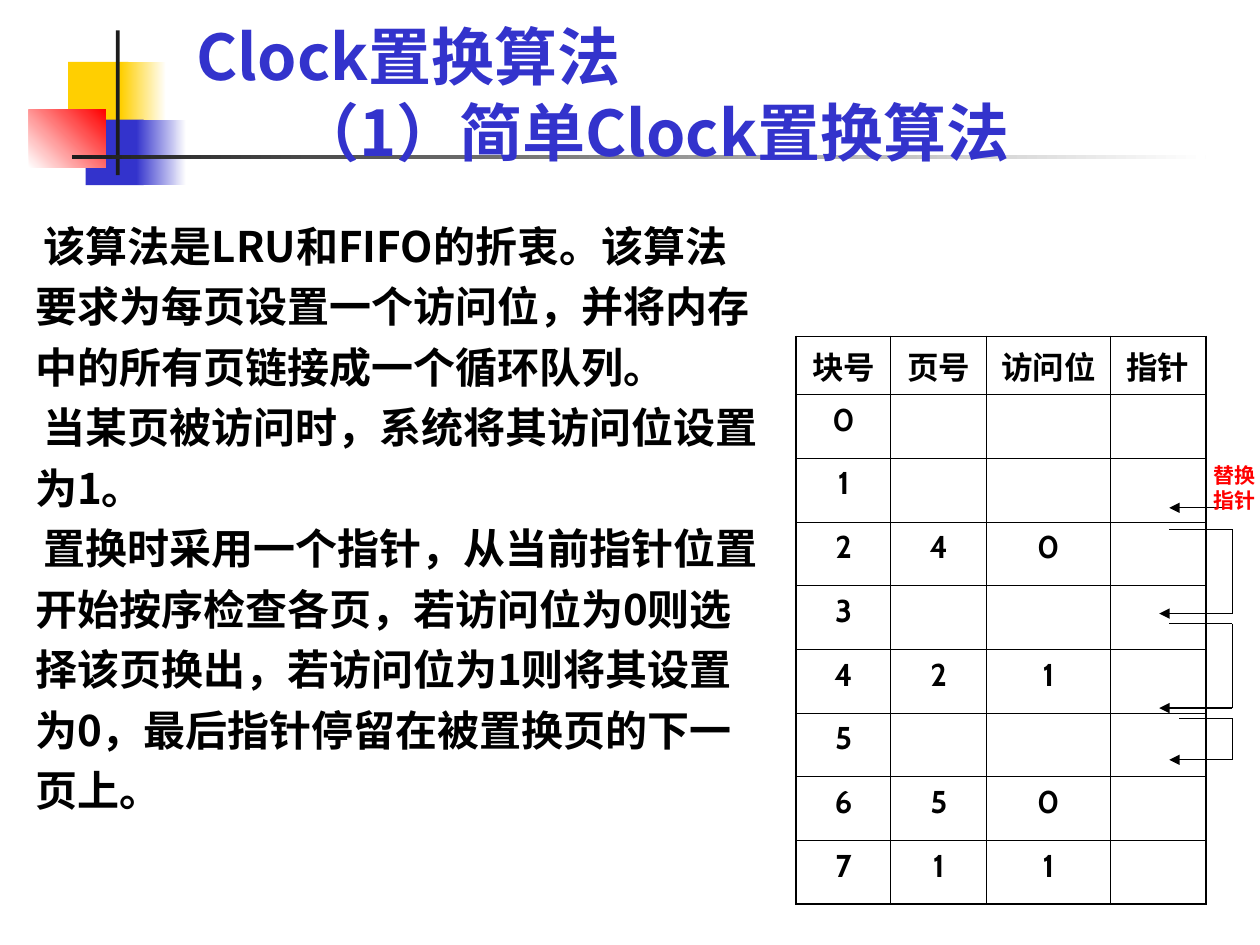
import pptx
import pptx.dml.color
import pptx.enum.shapes
import pptx.enum.text
import pptx.oxml
import pptx.oxml.ns
import pptx.util
from pptx.util import Inches

COLORS = {
    "yellow": "FFCF01",
    "blue": "3333CC",
    "red": "FF0000",
    "white": "FFFFFF",
    "black": "000000",
    "charcoal": "1C1C1C",
}
CJK_FONT = "Noto Sans CJK SC"
TABLE_FONT = "Cabin"
CENTER = pptx.enum.text.PP_ALIGN.CENTER

BODY = [
    "该算法是LRU和FIFO的折衷。该算法要求为每页设置一个访问位，并将内存中的所有页链接成一个循环队列。",
    "当某页被访问时，系统将其访问位设置为1。",
    "置换时采用一个指针，从当前指针位置开始按序检查各页，若访问位为0则选择该页换出，"
    "若访问位为1则将其设置为0，最后指针停留在被置换页的下一页上。",
]
HEADERS = ["块号", "页号", "访问位", "指针"]
PAGES = {2: ("4", "0"), 4: ("2", "1"), 6: ("5", "0"), 7: ("1", "1")}
COLUMN_WIDTHS = [0.75, 0.76, 0.98, 0.76]
BLOCK_COUNT = 8


def color(name):
    return pptx.dml.color.RGBColor.from_string(COLORS[name])


def add_xml(parent, tag, **attributes):
    element = pptx.oxml.parse_xml(f"<a:{tag} {pptx.oxml.ns.nsdecls('a')}/>")
    for key, value in attributes.items():
        element.set(key, str(value))
    parent.append(element)
    return element


def write_paragraph(paragraph, text, size, font=CJK_FONT, ink="black",
                    align=None, spacing=1.0, margin=0, indent=0):
    properties = paragraph._p.get_or_add_pPr()
    properties.set("marL", str(Inches(margin)))
    properties.set("indent", str(Inches(indent)))
    paragraph.alignment = align
    paragraph.line_spacing = spacing
    paragraph.space_before = pptx.util.Pt(0)
    run = paragraph.add_run()
    run.text = text
    run.font.size = pptx.util.Pt(size)
    run.font.bold = True
    run.font.name = font
    run.font.color.rgb = color(ink)
    add_xml(run._r.get_or_add_rPr(), "ea", typeface=CJK_FONT)


def add_text_box(slide, box, texts, size, **options):
    frame = slide.shapes.add_textbox(*map(Inches, box)).text_frame
    frame.word_wrap = True
    for index, text in enumerate(texts):
        paragraph = frame.add_paragraph() if index else frame.paragraphs[0]
        write_paragraph(paragraph, text, size, **options)


def add_rectangle(slide, box, start, end=None, angle=0):
    """Fill with one colour, or with a gradient when an end colour is given."""
    shape = slide.shapes.add_shape(
        pptx.enum.shapes.MSO_SHAPE.RECTANGLE, *map(Inches, box))
    shape.shadow.inherit = False
    shape.line.fill.background()
    if end is None:
        shape.fill.solid()
        shape.fill.fore_color.rgb = color(start)
        return
    shape.fill.gradient()
    shape.fill.gradient_angle = angle
    for stop, name in zip(shape.fill.gradient_stops, (start, end)):
        stop.color.rgb = color(name)


def add_emblem(slide):
    add_rectangle(slide, (0.54, 0.49, 0.48, 0.52), "yellow")
    add_rectangle(slide, (0.96, 0.49, 0.36, 0.52), "yellow", "white")
    add_rectangle(slide, (0.68, 0.95, 0.46, 0.52), "blue")
    add_rectangle(slide, (1.08, 0.95, 0.4, 0.52), "blue", "white")
    add_rectangle(slide, (0.23, 0.87, 0.61, 0.46), "white", "red", angle=45)
    add_rectangle(slide, (0.92, 0.24, 0.03, 1.15), "charcoal")
    add_rectangle(slide, (0.57, 1.23, 9, 0.03), "charcoal", "white")


def set_title(slide):
    title = slide.shapes.title
    title.left, title.top, title.width, title.height = map(
        Inches, (1.46, 0, 7.79, 1.39))
    title._element.getparent().append(title._element)  # in front of the emblem
    frame = title.text_frame
    frame.vertical_anchor = pptx.enum.text.MSO_ANCHOR.BOTTOM
    style = dict(size=36, ink="blue", align=pptx.enum.text.PP_ALIGN.LEFT)
    write_paragraph(frame.paragraphs[0], "Clock置换算法", **style)
    write_paragraph(frame.add_paragraph(), "（1）简单Clock置换算法",
                    margin=0.79, **style)


def set_borders(cell, outer_sides):
    properties = cell._tc.get_or_add_tcPr()
    for index, side in enumerate("LRTB"):
        width = 1.08 if side in outer_sides else 0.45
        line = add_xml(properties, f"ln{side}", w=pptx.util.Pt(width))
        add_xml(add_xml(line, "solidFill"), "srgbClr", val=COLORS["black"])
        properties.insert(index, line)


def add_block_table(slide):
    rows = [HEADERS] + [
        [str(block), *PAGES.get(block, ("", "")), ""]
        for block in range(BLOCK_COUNT)]
    row_heights = [0.46] + [4.05 / BLOCK_COUNT] * BLOCK_COUNT
    table = slide.shapes.add_table(
        len(rows), len(HEADERS), Inches(6.32), Inches(2.67),
        Inches(sum(COLUMN_WIDTHS)), Inches(sum(row_heights))).table
    table.first_row = table.horz_banding = False
    for column, width in zip(table.columns, COLUMN_WIDTHS):
        column.width = Inches(width)
    for r, values in enumerate(rows):
        table.rows[r].height = Inches(row_heights[r])
        for c, value in enumerate(values):
            cell = table.cell(r, c)
            cell.fill.background()
            edges = {"L": c == 0, "R": c == len(HEADERS) - 1,
                     "T": r == 0, "B": r == len(rows) - 1}
            set_borders(cell, [side for side in edges if edges[side]])
            if value:
                write_paragraph(cell.text_frame.paragraphs[0], value, 18,
                                font=TABLE_FONT, align=CENTER)


def add_line(shapes, start, end, arrow=False):
    line = shapes.add_connector(
        pptx.enum.shapes.MSO_CONNECTOR.STRAIGHT, *map(Inches, start + end))
    line.line.color.rgb = color("black")
    line.line.width = pptx.util.Pt(0.75)
    if arrow:
        add_xml(line.line._get_or_add_ln(), "tailEnd", type="triangle")
    add_xml(line._element.spPr, "effectLst")


def add_pointer_step(slide, start_x, top, end_x, bottom, right=9.78):
    """Draw a bracket that leads from one row to a later one."""
    points = [(start_x, top), (right, top), (right, bottom), (end_x, bottom)]
    shapes = slide.shapes.add_group_shape().shapes
    for index in range(3):
        add_line(shapes, points[index], points[index + 1], arrow=index == 2)


def main():
    presentation = pptx.Presentation()
    presentation.slide_width = Inches(10)
    presentation.slide_height = Inches(7.5)
    slide = presentation.slides.add_slide(presentation.slide_layouts[5])
    add_emblem(slide)
    set_title(slide)
    add_text_box(slide, (-0.2, 1.62, 6.38, 5.59), BODY, 24,
                 spacing=1.2, margin=0.38, indent=0.07)
    add_block_table(slide)
    add_pointer_step(slide, 9.28, 4.2, 9.2, 4.87)
    add_pointer_step(slide, 9.28, 4.95, 9.2, 5.62)
    add_pointer_step(slide, 9.36, 5.7, 9.28, 6.03)
    add_line(slide.shapes, (9.78, 4.03), (9.28, 4.03), arrow=True)
    add_text_box(slide, (9.53, 3.62, 0.58, 0.5), ["替换指针"], 12,
                 font=TABLE_FONT, ink="red")
    presentation.save("out.pptx")


if __name__ == "__main__":
    main()
